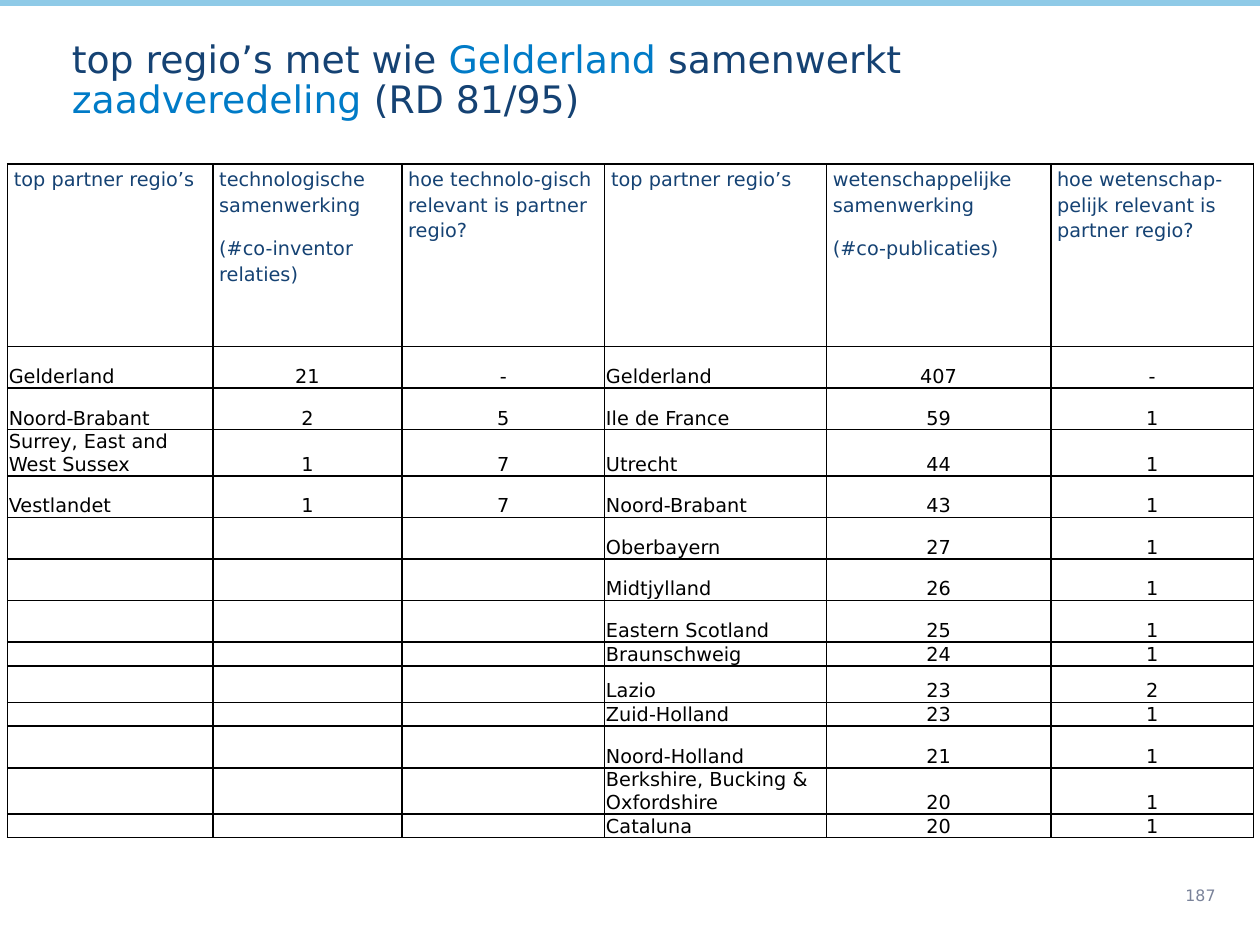
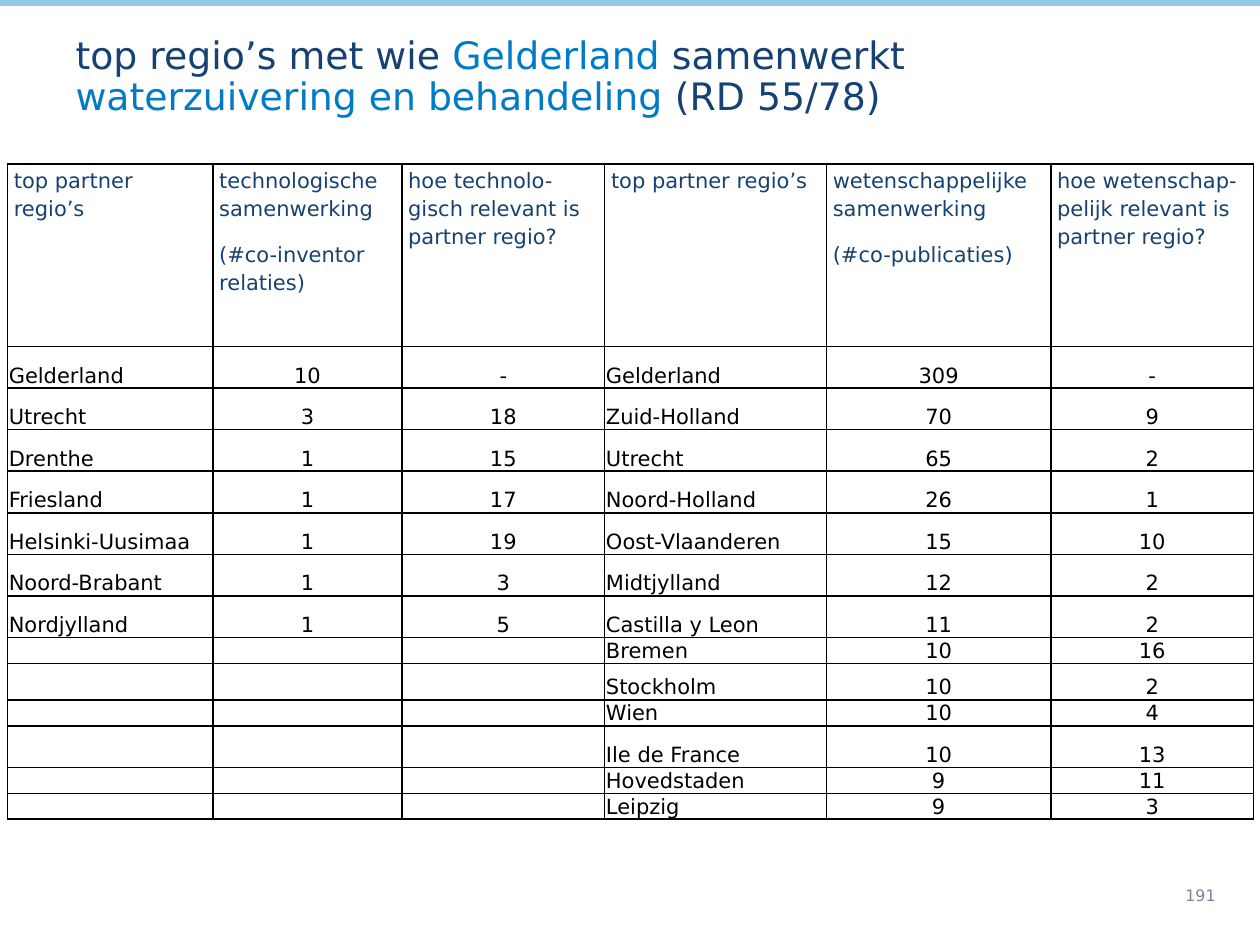
from dataclasses import dataclass
from itertools import zip_longest

from lxml import etree
from pptx import Presentation
from pptx.dml.color import RGBColor
from pptx.enum import shapes, text
from pptx.oxml import ns
from pptx.util import Inches, Pt


@dataclass(frozen=True)
class Theme:
    font: str = "DejaVu Sans"
    navy: str = "154273"
    blue: str = "007BC7"
    band: str = "8FCAE7"
    grey: str = "7A839A"
    black: str = "000000"
    title_size: float = 21.6
    number_size: float = 9


THEME = Theme()

HEADERS = [
    ["top partner regio’s"],
    ["technologische samenwerking", "(#co-inventor relaties)"],
    ["hoe technolo-gisch relevant is partner regio?"],
    ["top partner regio’s"],
    ["wetenschappelijke samenwerking", "(#co-publicaties)"],
    ["hoe wetenschap-pelijk relevant is partner regio?"],
]
COLUMN_WIDTHS = [1.63, 1.5, 1.61, 1.76, 1.78, 1.61]
ROW_HEIGHTS = [1.45] + [0.33] * 7 + [0.17, 0.29, 0.17, 0.33, 0.17, 0.17]
REGION_COLUMNS = (0, 3)

# Each region: name, number of collaborations, relevance rank
SLIDES = [
    dict(
        topic="zaadveredeling", score="(RD 81/95)", number="187",
        title_at=(0.47, 0.29), table_size=11,
        technology=[
            ("Gelderland", "21", "-"),
            ("Noord-Brabant", "2", "5"),
            ("Surrey, East and West Sussex", "1", "7"),
            ("Vestlandet", "1", "7"),
        ],
        science=[
            ("Gelderland", "407", "-"),
            ("Ile de France", "59", "1"),
            ("Utrecht", "44", "1"),
            ("Noord-Brabant", "43", "1"),
            ("Oberbayern", "27", "1"),
            ("Midtjylland", "26", "1"),
            ("Eastern Scotland", "25", "1"),
            ("Braunschweig", "24", "1"),
            ("Lazio", "23", "2"),
            ("Zuid-Holland", "23", "1"),
            ("Noord-Holland", "21", "1"),
            ("Berkshire, Bucking & Oxfordshire", "20", "1"),
            ("Cataluna", "20", "1"),
        ],
    ),
    dict(
        topic="waterzuivering en behandeling", score="(RD 55/78)", number="191",
        title_at=(0.5, 0.26), table_size=12,
        technology=[
            ("Gelderland", "10", "-"),
            ("Utrecht", "3", "18"),
            ("Drenthe", "1", "15"),
            ("Friesland", "1", "17"),
            ("Helsinki-Uusimaa", "1", "19"),
            ("Noord-Brabant", "1", "3"),
            ("Nordjylland", "1", "5"),
        ],
        science=[
            ("Gelderland", "309", "-"),
            ("Zuid-Holland", "70", "9"),
            ("Utrecht", "65", "2"),
            ("Noord-Holland", "26", "1"),
            ("Oost-Vlaanderen", "15", "10"),
            ("Midtjylland", "12", "2"),
            ("Castilla y Leon", "11", "2"),
            ("Bremen", "10", "16"),
            ("Stockholm", "10", "2"),
            ("Wien", "10", "4"),
            ("Ile de France", "10", "13"),
            ("Hovedstaden", "9", "11"),
            ("Leipzig", "9", "3"),
        ],
    ),
]


def style(font, size, color):
    font.name = THEME.font
    font.size = Pt(size)
    font.bold = False
    font.color.rgb = RGBColor.from_string(color)


def set_insets(target, left, top, right, bottom):
    target.margin_left, target.margin_top = Inches(left), Inches(top)
    target.margin_right, target.margin_bottom = Inches(right), Inches(bottom)


def add_band(s):
    band = s.shapes.add_shape(shapes.MSO_SHAPE.RECTANGLE, 0, 0, Inches(10), Inches(0.04))
    band.shadow.inherit = False
    band.fill.solid()
    band.fill.fore_color.rgb = RGBColor.from_string(THEME.band)
    band.line.color.rgb = RGBColor.from_string(THEME.band)
    band.line.width = Pt(0.75)


def add_title(s, topic, score, left, top):
    sp = s.shapes.title
    sp.left, sp.top = Inches(left), Inches(top)
    sp.width, sp.height = Inches(9.5), Inches(0.71)
    tf = sp.text_frame
    tf.word_wrap = True
    tf.auto_size = text.MSO_AUTO_SIZE.NONE
    tf.vertical_anchor = text.MSO_ANCHOR.MIDDLE
    set_insets(tf, 0.1, 0, 0.1, 0)
    p = tf.paragraphs[0]
    p.alignment = text.PP_ALIGN.LEFT
    p.line_spacing = 0.9
    lines = [
        [("top regio’s met wie ", THEME.navy), ("Gelderland", THEME.blue),
         (" samenwerkt", THEME.navy)],
        [(topic + " ", THEME.blue), (score, THEME.navy)],
    ]
    for i, line in enumerate(lines):
        if i:
            p.add_line_break()
        for words, color in line:
            r = p.add_run()
            r.text = words
            style(r.font, THEME.title_size, color)


def add_borders(cell):
    tc_pr = cell._tc.get_or_add_tcPr()
    for i, side in enumerate(("lnL", "lnR", "lnT", "lnB")):
        ln = etree.Element(ns.qn("a:" + side), w=str(Pt(1)))
        fill = etree.SubElement(ln, ns.qn("a:solidFill"))
        etree.SubElement(fill, ns.qn("a:srgbClr"), val=THEME.black)
        tc_pr.insert(i, ln)


def fill_cell(cell, paragraphs, size, is_header, is_region):
    cell.fill.background()
    add_borders(cell)
    side = 0.05 if is_header else 0.01
    set_insets(cell, side, 0.01, side, 0)
    cell.vertical_anchor = text.MSO_ANCHOR.TOP if is_header else text.MSO_ANCHOR.BOTTOM
    tf = cell.text_frame
    tf.text = "\n".join(paragraphs)
    for p in tf.paragraphs:
        if is_header:
            p.line_spacing = 1.15
            p.space_after = Pt(10)
        elif not is_region:
            p.alignment = text.PP_ALIGN.CENTER
        style(p.font, size, THEME.navy if is_header else THEME.black)
        if not p.text:  # an empty cell takes its line height from the end mark
            etree.SubElement(p._p, ns.qn("a:endParaRPr"), sz=str(size * 100))


def add_region_table(s, technology, science, size):
    pairs = zip_longest(technology, science, fillvalue=("", "", ""))
    rows = [HEADERS] + [[[value] for value in left + right] for left, right in pairs]
    table = s.shapes.add_table(
        len(rows), len(HEADERS), Inches(0.06), Inches(1.3),
        Inches(sum(COLUMN_WIDTHS)), Inches(sum(ROW_HEIGHTS))).table
    table.first_row = table.horz_banding = False
    for column, width in zip(table.columns, COLUMN_WIDTHS):
        column.width = Inches(width)
    for row, height in zip(table.rows, ROW_HEIGHTS):
        row.height = Inches(height)
    for i, row in enumerate(rows):
        for j, paragraphs in enumerate(row):
            fill_cell(table.cell(i, j), paragraphs, size, i == 0, j in REGION_COLUMNS)


def add_number(s, number):
    tf = s.shapes.add_textbox(Inches(9.31), Inches(6.9), Inches(0.68), Inches(0.41)).text_frame
    tf.word_wrap = True
    tf.vertical_anchor = text.MSO_ANCHOR.MIDDLE
    p = tf.paragraphs[0]
    p.text = number
    style(p.font, THEME.number_size, THEME.grey)


def main():
    prs = Presentation()
    prs.slide_width, prs.slide_height = Inches(10), Inches(7.5)
    title_only = prs.slide_layouts[5]
    for content in SLIDES:
        s = prs.slides.add_slide(title_only)
        add_band(s)
        add_title(s, content["topic"], content["score"], *content["title_at"])
        add_region_table(s, content["technology"], content["science"], content["table_size"])
        add_number(s, content["number"])
    prs.save("out.pptx")


if __name__ == "__main__":
    main()
